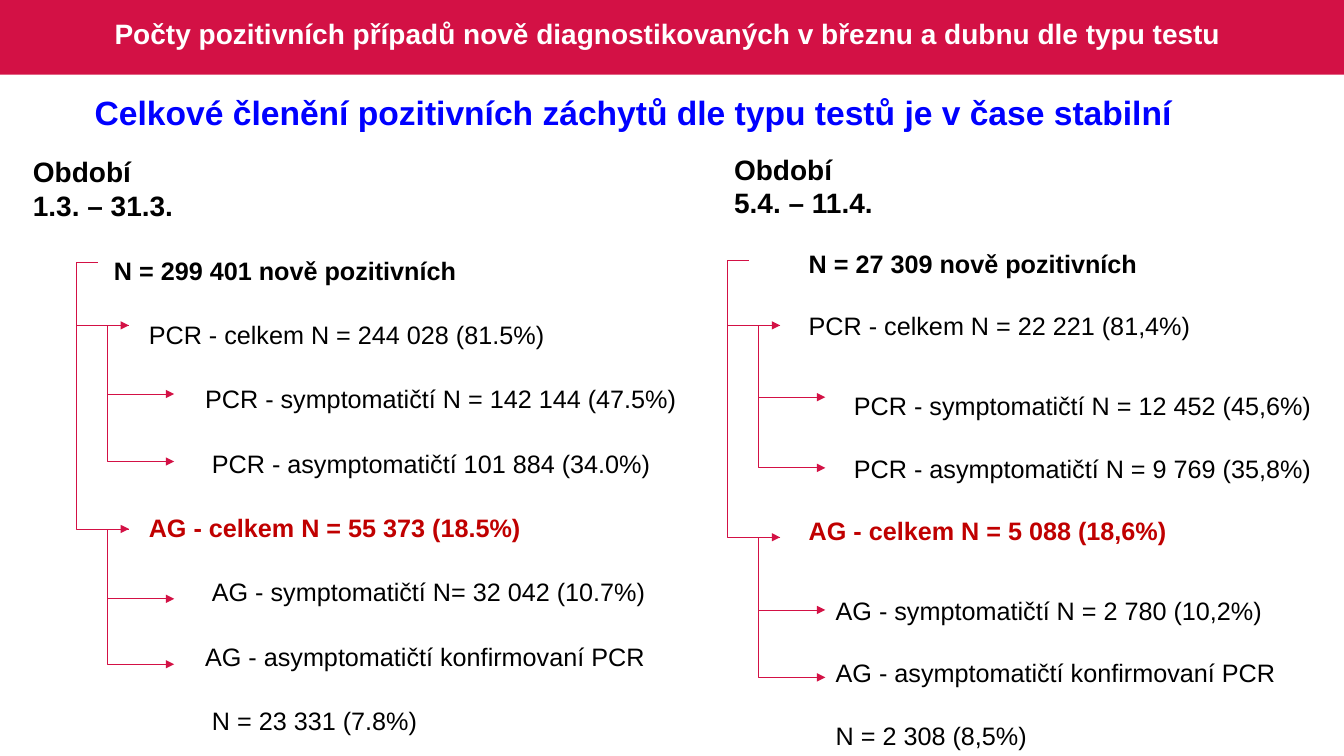
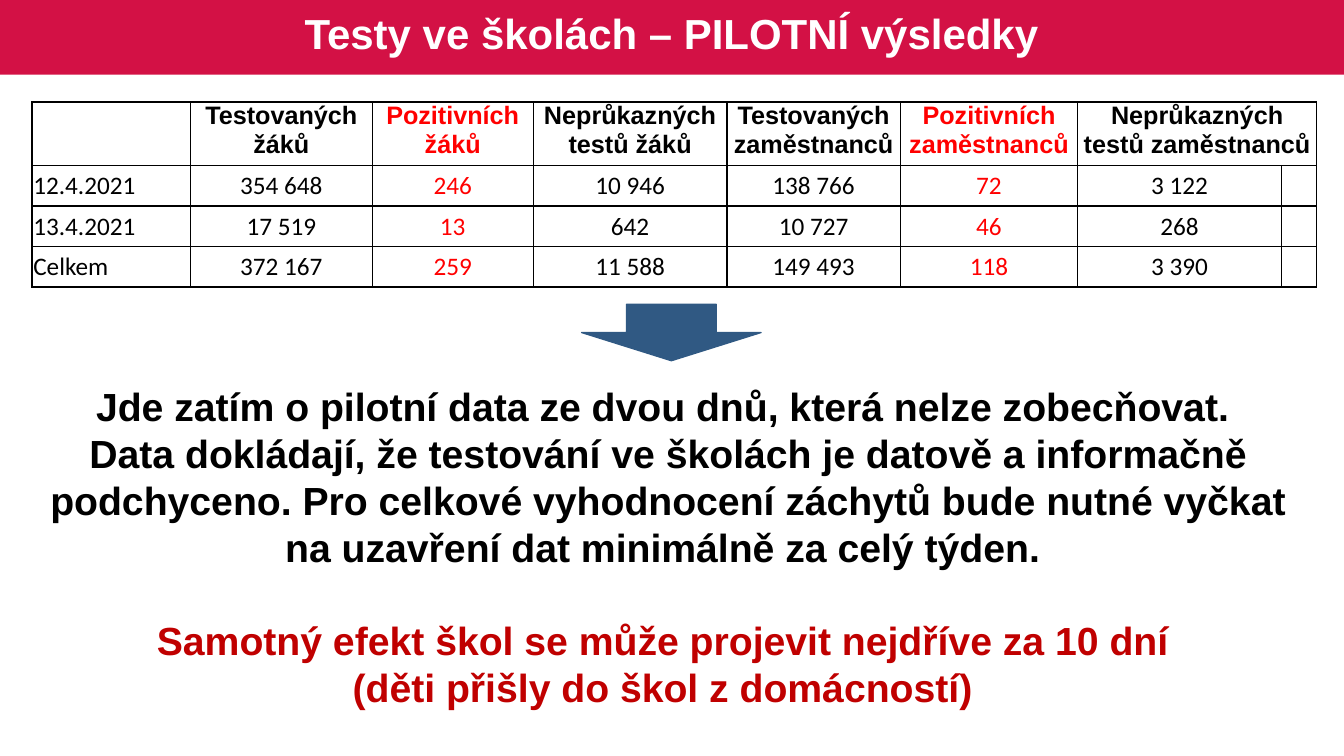
from lxml import etree
from pptx import Presentation
from pptx import util as u
from pptx.dml.color import RGBColor
from pptx.enum import shapes, text
from pptx.oxml import ns

Cm, Pt = u.Cm, u.Pt
CRIMSON = RGBColor(0xD3, 0x11, 0x45)
WHITE = RGBColor(0xFF, 0xFF, 0xFF)
BLACK = RGBColor(0, 0, 0)
BLUE = RGBColor(0, 0, 0xFF)
RED = RGBColor(0xFF, 0, 0)
DARK_RED = RGBColor(0xC0, 0, 0)
STEEL = RGBColor(0x30, 0x59, 0x83)
LEFT, CENTER = text.PP_ALIGN.LEFT, text.PP_ALIGN.CENTER
TOP, MIDDLE, BOTTOM = text.MSO_ANCHOR.TOP, text.MSO_ANCHOR.MIDDLE, text.MSO_ANCHOR.BOTTOM
PLAIN_TABLE = "{2D5ABB26-0587-4C30-8999-92F81FD0307C}"


def write(frame, lines, size, color=BLACK, bold=True, align=LEFT, font="Arial"):
    """Fill a text frame, one paragraph for each line."""
    for number, line in enumerate(lines):
        para = frame.paragraphs[0] if number == 0 else frame.add_paragraph()
        para.alignment = align
        span = para.add_run()
        span.text = line
        span.font.name, span.font.size = font, Pt(size)
        span.font.bold, span.font.color.rgb = bold, color


def add_plain_table(page, left, top, widths, heights):
    """Add an unstyled table with narrow cell margins; lengths in cm."""
    table = page.shapes.add_table(len(heights), len(widths), Cm(left), Cm(top),
                                  Cm(sum(widths)), Cm(sum(heights))).table
    table.first_row = table.horz_banding = False
    table._tbl.tblPr[0].text = PLAIN_TABLE
    for column, width in zip(table.columns, widths):
        column.width = Cm(width)
    for row, height in zip(table.rows, heights):
        row.height = Cm(height)
    for cell in table.iter_cells():
        cell.margin_left = cell.margin_right = cell.margin_top = Cm(0.03)
        cell.margin_bottom = 0
    return table


deck = Presentation()
deck.slide_width, deck.slide_height = Cm(33.87), Cm(19.05)

# Shared layout: title position, and the band below
layout = deck.slide_layouts.get_by_name("Title Only")
holder = layout.placeholders[0]
holder.left, holder.top, holder.width, holder.height = Cm(0.46), Cm(0.1), Cm(32.94), Cm(1.6)

pages = []
for title, size in [
    ("Počty pozitivních případů nově diagnostikovaných v březnu a dubnu dle typu testu ", 20),
    ("Testy ve školách – PILOTNÍ výsledky", 30),
]:
    page = deck.slides.add_slide(layout)
    frame = page.shapes.title.text_frame
    frame.vertical_anchor = MIDDLE
    write(frame, [title], size, WHITE, align=CENTER)
    frame.paragraphs[0].line_spacing = 0.9
    pages.append(page)
tree_page, school_page = pages

# The band belongs to the layout, behind its placeholders
band = tree_page.shapes.add_shape(shapes.MSO_SHAPE.RECTANGLE, 0, 0, deck.slide_width, Cm(1.88))
band.shadow.inherit = False
band.fill.solid()
band.fill.fore_color.rgb = CRIMSON
band.line.fill.background()
layout.shapes._spTree.insert(2, band._element)

# Slide 1: headline and first period
for left, top, width, height, lines, size, color, align, wrap in [
    (1.22, 2.18, 29.72, 1.27,
     ["Celkové členění pozitivních záchytů dle typu testů je v čase stabilní "],
     24, BLUE, CENTER, True),
    (0.58, 3.78, 4.27, 1.96, ["Období", "1.3. – 31.3."], 20, BLACK, LEFT, False),
]:
    box = tree_page.shapes.add_textbox(Cm(left), Cm(top), Cm(width), Cm(height))
    box.text_frame.word_wrap = wrap
    write(box.text_frame, lines, size, color, align=align)

# Slide 1: March counts, indented by level
march = [
    (0, "N = 299 401 nově pozitivních", BLACK, True),
    (0.88, "PCR - celkem N = 244 028 (81.5%)", BLACK, False),
    (2.3, "PCR - symptomatičtí N = 142 144 (47.5%)", BLACK, False),
    (2.47, "PCR - asymptomatičtí 101 884 (34.0%)", BLACK, False),
    (0.88, "AG - celkem N = 55 373 (18.5%)", DARK_RED, True),
    (2.47, "AG - symptomatičtí N= 32 042 (10.7%)", BLACK, False),
    (2.3, "AG - asymptomatičtí konfirmovaní PCR", BLACK, False),
    (2.47, "N = 23 331 (7.8%)", BLACK, False),
]
table = add_plain_table(tree_page, 2.84, 6.02, [14.68], [1.62] * len(march))
for row, (indent, line, color, bold) in enumerate(march):
    cell = table.cell(row, 0)
    cell.vertical_anchor = MIDDLE
    cell.margin_left = Cm(0.03 + indent)
    write(cell.text_frame, [line], 18, color, bold)

# Slide 1: April counts, each level starting in a later column
april = [
    (0, "Období", 20, BLACK, True, BOTTOM),
    (0, "5.4. – 11.4.", 20, BLACK, True, TOP),
    (1, "N = 27 309 nově pozitivních", 18, BLACK, True, TOP),
    (1, "PCR - celkem N = 22 221 (81,4%)", 18, BLACK, False, TOP),
    (3, "PCR - symptomatičtí N = 12 452 (45,6%)", 18, BLACK, False, MIDDLE),
    (3, "PCR - asymptomatičtí N = 9 769 (35,8%)", 18, BLACK, False, MIDDLE),
    (1, "AG - celkem N = 5 088 (18,6%)", 18, DARK_RED, True, MIDDLE),
    (2, "AG - symptomatičtí N = 2 780 (10,2%)", 18, BLACK, False, BOTTOM),
    (2, "AG - asymptomatičtí konfirmovaní PCR", 18, BLACK, False, BOTTOM),
    (2, "N = 2 308 (8,5%)", 18, BLACK, False, BOTTOM),
]
table = add_plain_table(tree_page, 18.47, 3.12, [1.88, 0.68, 0.46, 12.32], [1.58] * len(april))
for row, (level, line, size, color, bold, anchor) in enumerate(april):
    cell = table.cell(row, level)
    if level < 3:
        cell.merge(table.cell(row, 3))
    cell.vertical_anchor = anchor
    write(cell.text_frame, [line], size, color, bold)

# Slide 1: tree arrows, each bending 0.54 cm left of its start
STEM, TWIG, BEND = 0.79, 1.14, 0.54
for left, top, branches in [
    (18.87, 6.55, {8.2: (10.01, 11.79), 13.54: (15.37, 17.07)}),
    (2.46, 6.6, {8.2: (9.93, 11.63), 13.33: (15.09, 16.74)}),
]:
    arrows = [(left, top, STEM, branch) for branch in branches]
    arrows += [(left + STEM, branch, TWIG, leaf)
               for branch, leaves in branches.items() for leaf in leaves]
    for x, y, width, end in arrows:
        arrow = tree_page.shapes.add_connector(
            shapes.MSO_CONNECTOR.ELBOW, Cm(x), Cm(y), Cm(x + width), Cm(end))
        arrow.line.color.rgb = CRIMSON
        arrow.line.width = Pt(0.5)
        properties = arrow._element.spPr
        guides = properties.find(ns.qn("a:prstGeom")).get_or_add_avLst()
        etree.SubElement(guides, ns.qn("a:gd"), name="adj1",
                         fmla=f"val {round(-BEND / width * 100000)}")
        etree.SubElement(properties.find(ns.qn("a:ln")), ns.qn("a:tailEnd"), type="triangle")
        etree.SubElement(properties, ns.qn("a:effectLst"))

# Slide 2: school test results
results = [
    ["", "Testovaných žáků", "Pozitivních žáků", "Neprůkazných testů žáků",
     "Testovaných zaměstnanců", "Pozitivních zaměstnanců", "Neprůkazných testů zaměstnanců", ""],
    ["12.4.2021", "354 648", "246", "10 946", "138 766", "72", "3 122", ""],
    ["13.4.2021", "17 519", "13", "642", "10 727", "46", "268", ""],
    ["Celkem", "372 167", "259", "11 588", "149 493", "118", "3 390", ""],
]
POSITIVE_COLUMNS = (2, 5)
widths = [3.99, 4.58, 4.06, 4.88, 4.37, 4.47, 5.13, 0.89]
table = add_plain_table(school_page, 0.81, 2.57, widths, [1.6, 1.02, 1.02, 1.02])
table.cell(0, 6).merge(table.cell(0, 7))
for row, values in enumerate(results):
    for column, value in enumerate(values):
        cell = table.cell(row, column)
        # Outer edges are thicker; the last two columns have no line between them
        edges = {"L": 1.5 if column == 0 else 1, "R": 1,
                 "T": 1.5 if row == 0 else 1,
                 "B": 1.5 if row == 3 and column < 7 else 1}
        if row and column >= 6:
            del edges["R" if column == 6 else "L"]
        for side, points in edges.items():
            edge = etree.SubElement(cell._tc.get_or_add_tcPr(), ns.qn(f"a:ln{side}"),
                                    w=str(Pt(points)))
            fill = etree.SubElement(edge, ns.qn("a:solidFill"))
            etree.SubElement(fill, ns.qn("a:srgbClr"), val=str(BLACK))
        cell.fill.background()
        if row == 0:
            cell.margin_left = cell.margin_right = Cm(0.13)
            cell.margin_top = 0
        else:
            cell.vertical_anchor = MIDDLE
        if value:
            write(cell.text_frame, [value], 18,
                  RED if column in POSITIVE_COLUMNS else BLACK, bold=row == 0,
                  align=CENTER if column else LEFT, font="Calibri" if row else "Arial")

# Slide 2: arrow from the table to the conclusion
arrow = school_page.shapes.add_shape(shapes.MSO_SHAPE.DOWN_ARROW,
                                     Cm(14.66), Cm(7.67), Cm(4.52), Cm(1.42))
arrow.shadow.inherit = False
arrow.fill.solid()
arrow.fill.fore_color.rgb = STEEL
arrow.line.color.rgb = STEEL
arrow.line.width = Pt(1)

# Slide 2: conclusion
box = school_page.shapes.add_textbox(Cm(0.81), Cm(9.5), Cm(32.05), Cm(8.64))
frame = box.text_frame
frame.word_wrap = True
write(frame, [
    "Jde zatím o pilotní data ze dvou dnů, která nelze zobecňovat. ",
    "Data dokládají, že testování ve školách je datově a informačně podchyceno. "
    "Pro celkové vyhodnocení záchytů bude nutné vyčkat na uzavření dat minimálně za celý týden. ",
    "Samotný efekt škol se může projevit nejdříve za 10 dní ",
    "(děti přišly do škol z domácností) ",
], 28, align=CENTER)
for para in frame.paragraphs[2:]:
    para.runs[0].font.color.rgb = DARK_RED
frame.paragraphs[2].space_before = Pt(33)

deck.save("out.pptx")
